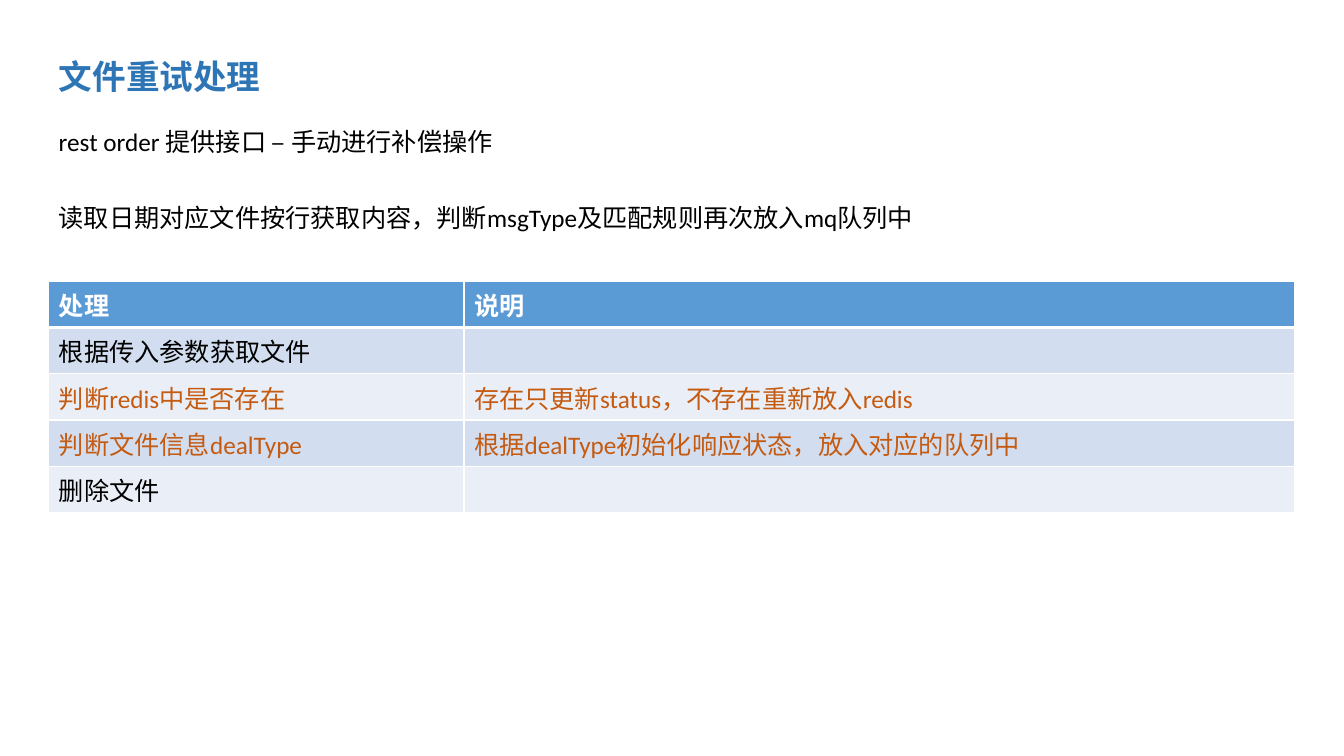
from dataclasses import dataclass

from lxml import etree
from pptx import Presentation
from pptx.dml.color import RGBColor
from pptx.enum.text import MSO_ANCHOR, PP_ALIGN
from pptx.oxml.ns import qn
from pptx.util import Pt

TOP = MSO_ANCHOR.TOP
LEFT = PP_ALIGN.LEFT
TITLE_ONLY = 5


@dataclass(frozen=True)
class Theme:
    font: str = "Calibri"
    title_size: int = 24
    body_size: int = 18
    title: str = "2E75B6"
    ink: str = "000000"
    accent: str = "C55A11"
    white: str = "FFFFFF"
    header: str = "5B9BD5"
    bands: tuple = ("D2DEEF", "EAEFF7")
    rule: int = 1
    header_rule: int = 3


class SlideBuilder:
    def __init__(self, page, theme):
        self.page = page
        self.theme = theme

    def style_para(self, para, size, color, bold=False):
        for span in para.runs:
            span.font.name = self.theme.font
            span.font.size = Pt(size)
            span.font.bold = bold
            span.font.color.rgb = RGBColor.from_string(color)

    def place(self, shape, left, top, width, height):
        shape.left, shape.top = Pt(left), Pt(top)
        shape.width, shape.height = Pt(width), Pt(height)

    def title(self, text, *bounds):
        box = self.page.shapes.title
        self.place(box, *bounds)
        frame = box.text_frame
        frame.text = text
        frame.word_wrap = True
        frame.vertical_anchor = TOP
        para = frame.paragraphs[0]
        para.alignment = LEFT
        para.line_spacing = 0.9
        self.style_para(para, self.theme.title_size, self.theme.title, True)

    def text(self, lines, gap, left, top, width, height):
        box = self.page.shapes.add_textbox(Pt(left), Pt(top), Pt(width), Pt(height))
        frame = box.text_frame
        frame.word_wrap = True
        frame.text = "\n".join(lines)
        for index, para in enumerate(frame.paragraphs):
            para.line_spacing = 0.9
            para.space_before = Pt(gap if index else 0)
            self.style_para(para, self.theme.body_size, self.theme.ink)

    def border(self, cell, side, width):
        properties = cell._tc.get_or_add_tcPr()
        line = etree.SubElement(properties, qn(f"a:ln{side}"), w=str(Pt(width)))
        fill = etree.SubElement(line, qn("a:solidFill"))
        etree.SubElement(fill, qn("a:srgbClr"), val=self.theme.white)

    def cell(self, cell, text, fill, color, bold, top_rule, bottom_rule):
        theme = self.theme
        for side, width in zip("LRTB", (theme.rule, theme.rule, top_rule, bottom_rule)):
            self.border(cell, side, width)
        cell.fill.solid()
        cell.fill.fore_color.rgb = RGBColor.from_string(fill)
        cell.text_frame.text = text
        self.style_para(cell.text_frame.paragraphs[0], theme.body_size, color, bold)

    def table(self, header, rows, left, top, widths, row_height):
        theme = self.theme
        count = len(rows) + 1
        frame = self.page.shapes.add_table(
            count, len(widths), Pt(left), Pt(top), Pt(sum(widths)), Pt(row_height * count)
        )
        grid = frame.table
        for column, width in zip(grid.columns, widths):
            column.width = Pt(width)
        for index, text in enumerate(header):
            self.cell(grid.cell(0, index), text, theme.header, theme.white, True,
                      theme.rule, theme.header_rule)
        for number, (color, texts) in enumerate(rows, 1):
            fill = theme.bands[(number - 1) % len(theme.bands)]
            top_rule = theme.header_rule if number == 1 else theme.rule
            for index, text in enumerate(texts):
                self.cell(grid.cell(number, index), text, fill, color, False,
                          top_rule, theme.rule)


def main():
    deck = Presentation()
    deck.slide_width, deck.slide_height = Pt(960), Pt(540)
    theme = Theme()
    page = deck.slides.add_slide(deck.slide_layouts[TITLE_ONLY])
    builder = SlideBuilder(page, theme)
    margin = 34.9
    builder.title("文件重试处理", margin, 39.6, 358.6, 34.6)
    builder.text(
        ["rest order 提供接口 – 手动进行补偿操作",
         "读取日期对应文件按行获取内容，判断msgType及匹配规则再次放入mq队列中"],
        35, margin, 89.3, 823.7, 108,
    )
    builder.table(
        ("处理", "说明"),
        [
            (theme.ink, ("根据传入参数获取文件", "")),
            (theme.accent, ("判断redis中是否存在", "存在只更新status，不存在重新放入redis")),
            (theme.accent, ("判断文件信息dealType", "根据dealType初始化响应状态，放入对应的队列中")),
            (theme.ink, ("删除文件", "")),
        ],
        margin, 201, (296.6, 593.2), 33,
    )
    deck.save("out.pptx")


if __name__ == "__main__":
    main()
